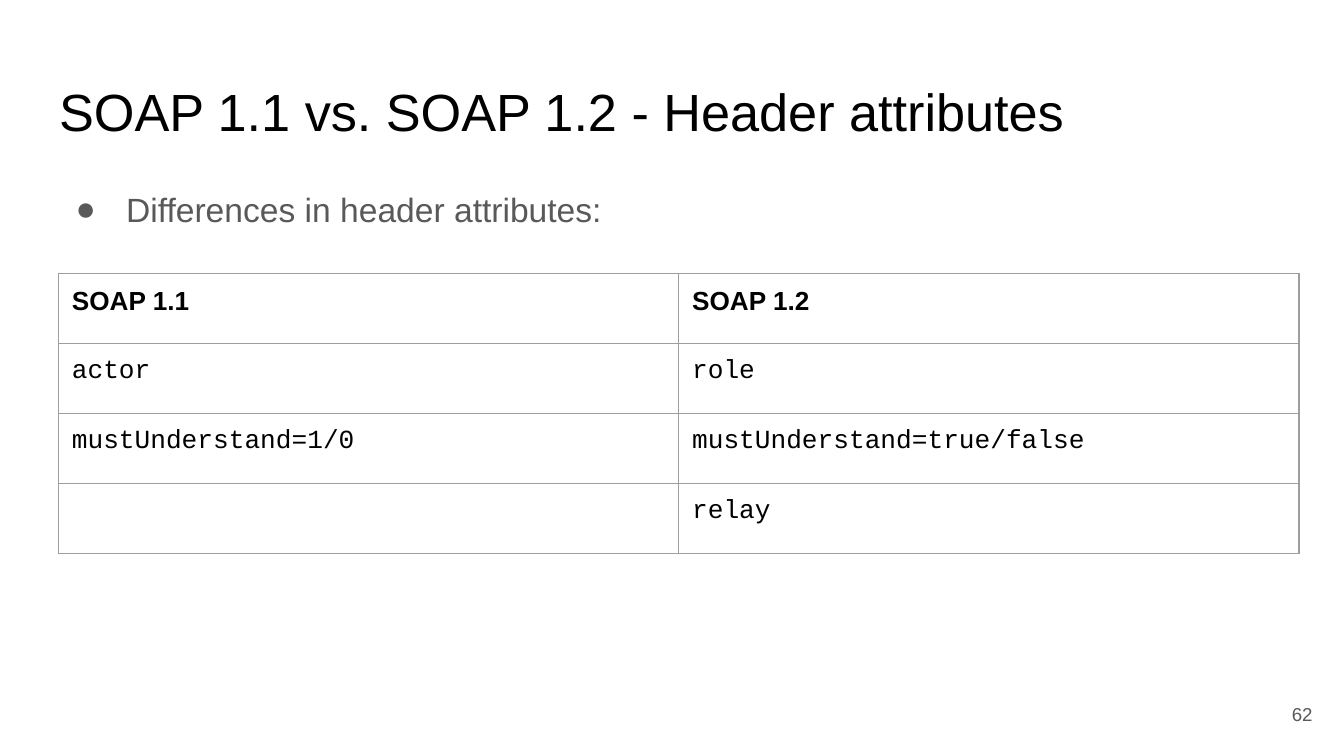
from pptx import Presentation
from pptx.dml.color import RGBColor as RGB
from pptx.enum.text import MSO_ANCHOR as Anchor, MSO_AUTO_SIZE as Auto, PP_ALIGN as Align
from pptx.oxml import parse_xml
from pptx.oxml.ns import nsdecls
from pptx.util import Pt

# Content
TITLE = "SOAP 1.1 vs. SOAP 1.2 - Header attributes"
BULLET = "Differences in header attributes:"
PAGE = "62"
ROWS = [
    ("SOAP 1.1", "SOAP 1.2"),
    ("actor", "role"),
    ("mustUnderstand=1/0", "mustUnderstand=true/false"),
    ("", "relay"),
]

# Theme
SANS, MONO = "Arial", "Courier New"
BLACK, GREY, RULE = "000000", "595959", "9E9E9E"
THEME = {
    "title": dict(name=SANS, size=Pt(28), color=BLACK, bold=False),
    "body": dict(name=SANS, size=Pt(18), color=GREY, bold=False),
    "page": dict(name=SANS, size=Pt(10), color=GREY, bold=False),
    "head": dict(name=SANS, size=Pt(14), color=BLACK, bold=True),
    "code": dict(name=MONO, size=Pt(14), color=BLACK, bold=False),
}

# Layout in px, 200 to the inch
PX = 4572
SIZE = (2000, 1125)
BOXES = {
    "title": (68, 98, 1864, 126),
    "body": (68, 252, 1864, 276),
    "page": (1853, 1020, 120, 86),
}
GRID = (87, 407, 1846, 417)
PAD = 20
INDENT, HANG = 100, 75
MARGINS = {f"margin_{side}": PAD * PX for side in ("left", "right", "top", "bottom")}


def emu(box):
    return [n * PX for n in box]


def style(font, look):
    for key, val in look.items():
        if key == "color":
            font.color.rgb = RGB.from_string(val)
        else:
            setattr(font, key, val)


def write(shape, text, kind, anchor=Anchor.TOP, align=Align.LEFT):
    frame = shape.text_frame
    form = dict(MARGINS, word_wrap=True, auto_size=Auto.NONE, vertical_anchor=anchor)
    for key, val in form.items():
        setattr(frame, key, val)
    para = frame.paragraphs[0]
    para.alignment = align
    run = para.add_run()
    run.text = text
    style(run.font, THEME[kind])
    return para


def mark(para):
    """Give the paragraph a round bullet with a hanging indent."""
    props = para._p.get_or_add_pPr()
    props.set("marL", str(INDENT * PX))
    props.set("indent", str(-HANG * PX))
    space = nsdecls("a")
    for xml in (
        f'<a:buClr {space}><a:srgbClr val="{GREY}"/></a:buClr>',
        f'<a:buFont {space} typeface="{SANS}"/>',
        f'<a:buChar {space} char="●"/>',
    ):
        props.append(parse_xml(xml))


def border(cell):
    props = cell._tc.get_or_add_tcPr()
    for side in "LRTB":
        props.append(parse_xml(
            f'<a:ln{side} {nsdecls("a")} w="{Pt(0.75)}"><a:solidFill>'
            f'<a:srgbClr val="{RULE}"/></a:solidFill></a:ln{side}>'))


deck = Presentation()
deck.slide_width, deck.slide_height = emu(SIZE)
slide = deck.slides.add_slide(deck.slide_layouts[5])
shapes = slide.shapes

# Title
title = shapes.title
title.left, title.top, title.width, title.height = emu(BOXES["title"])
write(title, TITLE, "title")

# Bullet
para = write(shapes.add_textbox(*emu(BOXES["body"])), BULLET, "body")
para.line_spacing = 1.15
mark(para)

# Page number
write(shapes.add_textbox(*emu(BOXES["page"])), PAGE, "page", Anchor.MIDDLE, Align.RIGHT)

# Table: equal columns and rows
table = shapes.add_table(len(ROWS), len(ROWS[0]), *emu(GRID)).table
table.first_row = table.horz_banding = False
for r, row in enumerate(ROWS):
    for c, text in enumerate(row):
        cell = table.cell(r, c)
        for key, val in MARGINS.items():
            setattr(cell, key, val)
        cell.text = text
        style(cell.text_frame.paragraphs[0].font, THEME["code" if r else "head"])
        border(cell)
        cell.fill.background()

deck.save("out.pptx")
